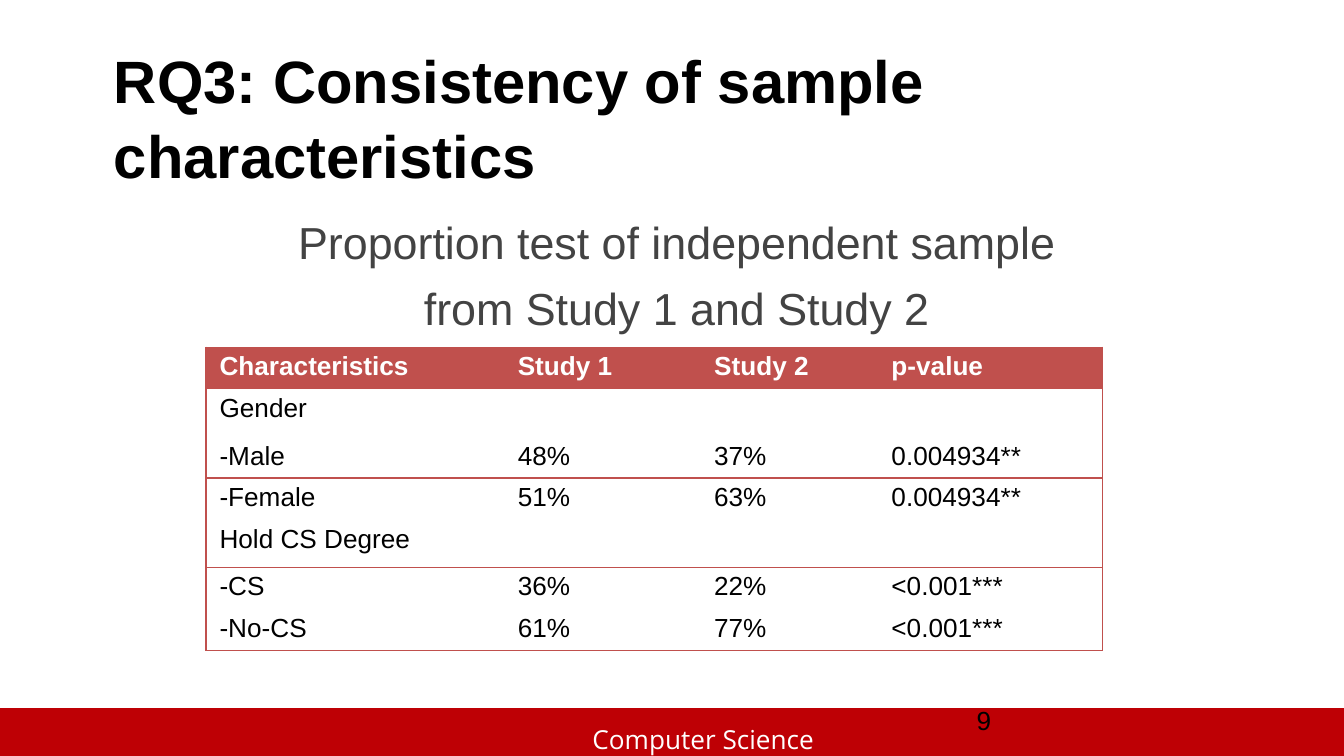
from dataclasses import dataclass

from lxml.etree import SubElement
from pptx import Presentation
from pptx.dml.color import RGBColor as RGB
from pptx.enum.shapes import MSO_SHAPE as Shape
from pptx.enum.text import MSO_ANCHOR as Anchor, PP_ALIGN as Align
from pptx.oxml.ns import qn
from pptx.util import Pt


@dataclass(frozen=True)
class Theme:
    """Colours, fonts and type sizes."""
    red: str = "BE0005"
    rose: str = "C0504D"
    white: str = "FFFFFF"
    black: str = "000000"
    gray: str = "434343"
    sans: str = "Arial"
    brand: str = "Open Sans"
    head: int = 32
    lead: int = 24
    body: int = 14
    rule: float = 0.75


class Deck:
    """Style and current slide, with a method for each element."""

    def __init__(self, theme):
        self.theme = theme
        self.prs = Presentation()
        self.prs.slide_width, self.prs.slide_height = Pt(720), Pt(405)
        self.slide = self.prs.slides.add_slide(self.prs.slide_layouts[6])

    def style(self, para, size, color, bold=False, face=None):
        """Format the runs of a paragraph."""
        for run in para.runs:
            font = run.font
            font.name, font.size, font.bold = face or self.theme.sans, Pt(size), bold
            font.color.rgb = RGB.from_string(color)

    def band(self, box, color):
        """Draw a filled bar."""
        bar = self.slide.shapes.add_shape(Shape.RECTANGLE, *map(Pt, box))
        bar.shadow.inherit = False
        bar.fill.solid()
        bar.fill.fore_color.rgb = RGB.from_string(color)
        bar.line.fill.background()

    def text(self, box, words, size, color, bold=False, face=None,
             align=Align.LEFT, anchor=Anchor.TOP, lead=1.0, gap=0):
        """Place a text box."""
        frame = self.slide.shapes.add_textbox(*map(Pt, box)).text_frame
        frame.word_wrap, frame.vertical_anchor = True, anchor
        frame.text = words
        for i, para in enumerate(frame.paragraphs):
            para.alignment, para.line_spacing = align, lead
            para.space_before = Pt(gap if i else 0)
            self.style(para, size, color, bold, face)

    def edge(self, cell, side, show):
        """Draw or hide one border of a cell."""
        width = str(int(Pt(self.theme.rule)))
        line = SubElement(cell._tc.get_or_add_tcPr(), qn(f"a:ln{side}"), w=width)
        if show:
            fill = SubElement(line, qn("a:solidFill"))
            SubElement(fill, qn("a:srgbClr"), val=self.theme.rose)
        else:
            SubElement(line, qn("a:noFill"))

    def cell(self, cell, words, head, sides):
        """Fill one cell and rule its sides."""
        t = self.theme
        cell.margin_left = cell.margin_right = Pt(7.2)
        cell.margin_top = cell.margin_bottom = Pt(2.7)
        cell.text_frame.text = words
        para = cell.text_frame.paragraphs[0]
        self.style(para, t.body, t.white if head else t.black, head)
        if not words:
            SubElement(para._p, qn("a:endParaRPr"), sz=str(t.body * 100))
        for side, show in sides.items():
            self.edge(cell, side, show)
        if head:
            cell.fill.solid()
            cell.fill.fore_color.rgb = RGB.from_string(t.rose)
        else:
            cell.fill.background()

    def table(self, left, top, cols, rows, data, ruled):
        """Place a table with lines under the ruled rows."""
        box = map(Pt, (left, top, sum(cols), sum(rows)))
        grid = self.slide.shapes.add_table(len(rows), len(cols), *box).table
        grid.horz_banding = False
        for col, width in zip(grid.columns, cols):
            col.width = Pt(width)
        for r, (row, high) in enumerate(zip(data, rows)):
            grid.rows[r].height = Pt(high)
            for c, words in enumerate(row):
                sides = {"L": c == 0, "R": c == len(cols) - 1,
                         "T": r == 0 or r - 1 in ruled, "B": r in ruled}
                self.cell(grid.cell(r, c), words, r == 0, sides)


def main():
    """Build the slide."""
    t = Theme()
    deck = Deck(t)
    deck.band((0, 379.4, 720, 27), t.red)
    deck.text((310.3, 383.8, 139, 18), "Computer Science", t.body, t.white,
              face=t.brand)
    deck.text((54, 30.2, 612, 63.4), "RQ3: Consistency of sample characteristics",
              t.head, t.black, bold=True, anchor=Anchor.MIDDLE, lead=1.05)
    deck.text((54, 110.2, 617, 256.3),
              "Proportion test of independent sample\nfrom Study 1 and Study 2",
              t.lead, t.gray, align=Align.CENTER, lead=1.05, gap=4.8)
    data = [
        ("Characteristics", "Study 1", "Study 2", "p-value"),
        ("Gender", "", "", ""),
        ("-Male", "48%", "37%", "0.004934**"),
        ("-Female", "51%", "63%", "0.004934**"),
        ("Hold CS Degree", "", "", ""),
        ("-CS", "36%", "22%", "<0.001***"),
        ("-No-CS", "61%", "77%", "<0.001***"),
    ]
    rows = [21.8 if row[1] else 25.6 for row in data]
    deck.table(110.4, 186, (159.8, 105.2, 95, 120.2), rows, data, {0, 2, 4, 6})
    deck.text((516.2, 375.1, 167.8, 21.6), "9", t.body, t.black,
              anchor=Anchor.MIDDLE)
    deck.prs.save("out.pptx")


if __name__ == "__main__":
    main()
